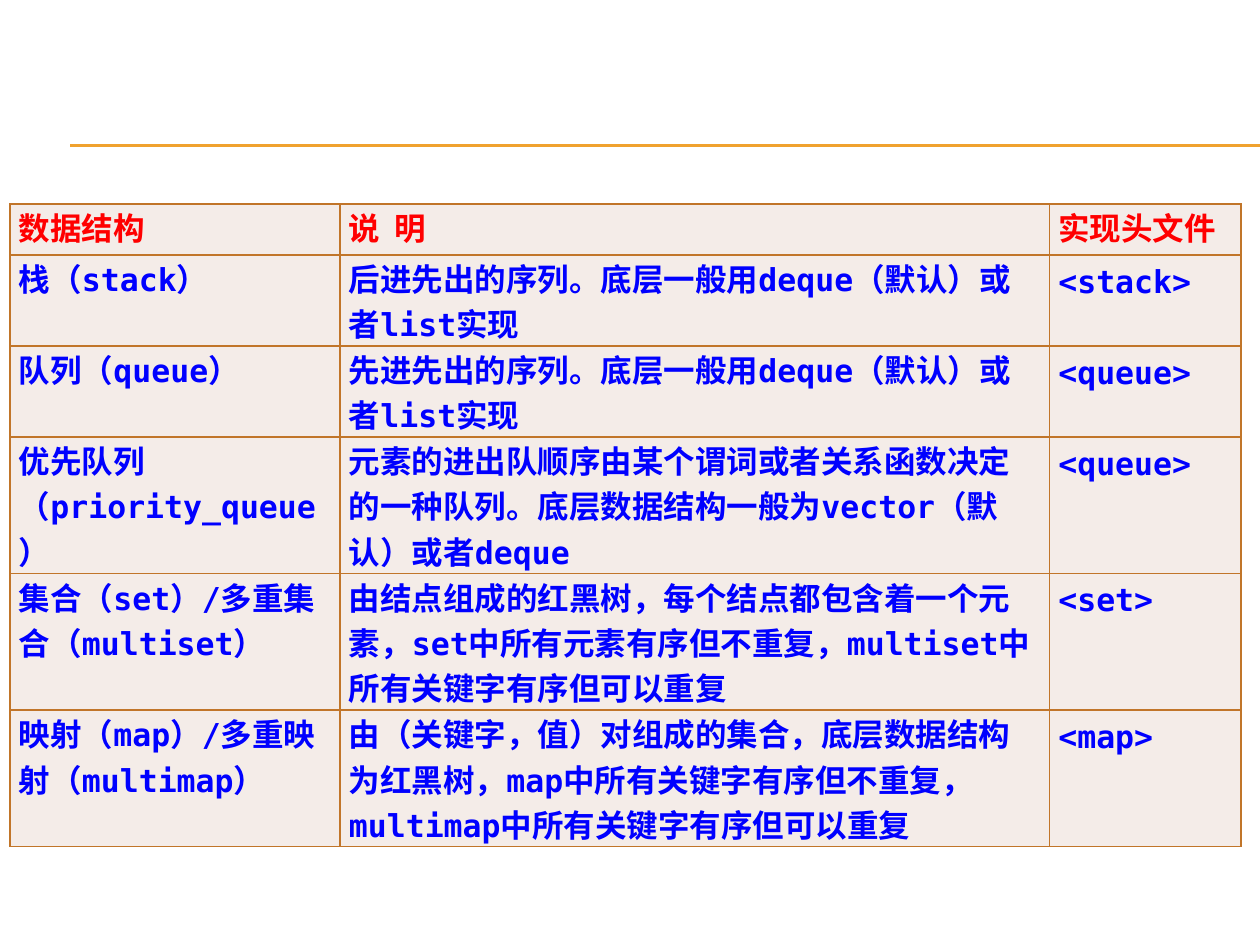
from lxml import etree
from pptx import Presentation
from pptx.dml.color import RGBColor
from pptx.enum.shapes import MSO_CONNECTOR
from pptx.enum.text import PP_ALIGN
from pptx.oxml.ns import qn
from pptx.util import Pt

STRAIGHT = MSO_CONNECTOR.STRAIGHT
LEFT, JUSTIFY = PP_ALIGN.LEFT, PP_ALIGN.JUSTIFY

RED = RGBColor(0xFF, 0x00, 0x00)
BLUE = RGBColor(0x00, 0x00, 0xFF)
CREAM = RGBColor(0xF4, 0xEC, 0xE8)
GOLD = RGBColor(0xF0, 0xA2, 0x2E)
BROWN = RGBColor(0xC1, 0x75, 0x29)

HEADER = ("数据结构", "说  明", "实现头文件")
ROWS = [
    ("栈（stack）", "后进先出的序列。底层一般用deque（默认）或者list实现", "<stack>"),
    ("队列（queue）", "先进先出的序列。底层一般用deque（默认）或者list实现", "<queue>"),
    ("优先队列（priority_queue）",
     "元素的进出队顺序由某个谓词或者关系函数决定的一种队列。"
     "底层数据结构一般为vector（默认）或者deque", "<queue>"),
    ("集合（set）/多重集合（multiset）",
     "由结点组成的红黑树，每个结点都包含着一个元素，"
     "set中所有元素有序但不重复，multiset中所有关键字有序但可以重复", "<set>"),
    ("映射（map）/多重映射（multimap）",
     "由（关键字，值）对组成的集合，底层数据结构为红黑树，"
     "map中所有关键字有序但不重复，multimap中所有关键字有序但可以重复", "<map>"),
]
LINE_HEIGHT = 26
LINES_PER_ROW = (1.12, 2, 2, 3, 3, 3)
COL_WIDTHS = (188.6, 405.4, 109.4)
TABLE_LEFT, TABLE_TOP = 5.8, 116.6
RULE_LEFT, RULE_RIGHT, RULE_YS = 40.3, 720, (82.8, 83.5)


def write(tf, text, font, color, align=LEFT, size=18):
    p = tf.paragraphs[0]
    p.alignment = align
    p.line_spacing = Pt(LINE_HEIGHT)
    r = p.add_run()
    r.text = text
    r.font.name = font
    r.font.size = Pt(size)
    r.font.bold = True
    r.font.color.rgb = color


def set_borders(cell, color, width):
    tc_pr = cell._tc.get_or_add_tcPr()
    for i, tag in enumerate(("a:lnL", "a:lnR", "a:lnT", "a:lnB")):
        ln = etree.Element(qn(tag), w=str(Pt(width)))
        fill = etree.SubElement(ln, qn("a:solidFill"))
        etree.SubElement(fill, qn("a:srgbClr"), val=str(color))
        tc_pr.insert(i, ln)


def add_rule(slide, y):
    line = slide.shapes.add_connector(
        STRAIGHT, Pt(RULE_LEFT), Pt(y), Pt(RULE_RIGHT), Pt(y))
    line.line.color.rgb = GOLD
    line.line.width = Pt(0.75)
    etree.SubElement(line._element.spPr, qn("a:effectLst"))


def add_structure_table(slide):
    data = [HEADER] + ROWS
    heights = [n * LINE_HEIGHT for n in LINES_PER_ROW]
    table = slide.shapes.add_table(
        len(data), len(HEADER), Pt(TABLE_LEFT), Pt(TABLE_TOP),
        Pt(sum(COL_WIDTHS)), Pt(sum(heights))).table
    for col, width in zip(table.columns, COL_WIDTHS):
        col.width = Pt(width)
    for i, (row, height, texts) in enumerate(zip(table.rows, heights, data)):
        row.height = Pt(height)
        font, color = ("DejaVu Sans Mono", BLUE) if i else ("Times New Roman", RED)
        for j, (cell, text) in enumerate(zip(row.cells, texts)):
            cell.margin_left = cell.margin_right = Pt(5)
            cell.margin_top = cell.margin_bottom = Pt(0)
            cell.fill.solid()
            cell.fill.fore_color.rgb = CREAM
            set_borders(cell, BROWN, 1)
            align = JUSTIFY if i == 0 or j == 2 else LEFT
            write(cell.text_frame, text, font, color, align=align)


def main():
    prs = Presentation()
    prs.slide_width, prs.slide_height = Pt(720), Pt(540)
    slide = prs.slides.add_slide(prs.slide_layouts[6])
    for y in RULE_YS:
        add_rule(slide, y)
    add_structure_table(slide)
    prs.save("out.pptx")


if __name__ == "__main__":
    main()
